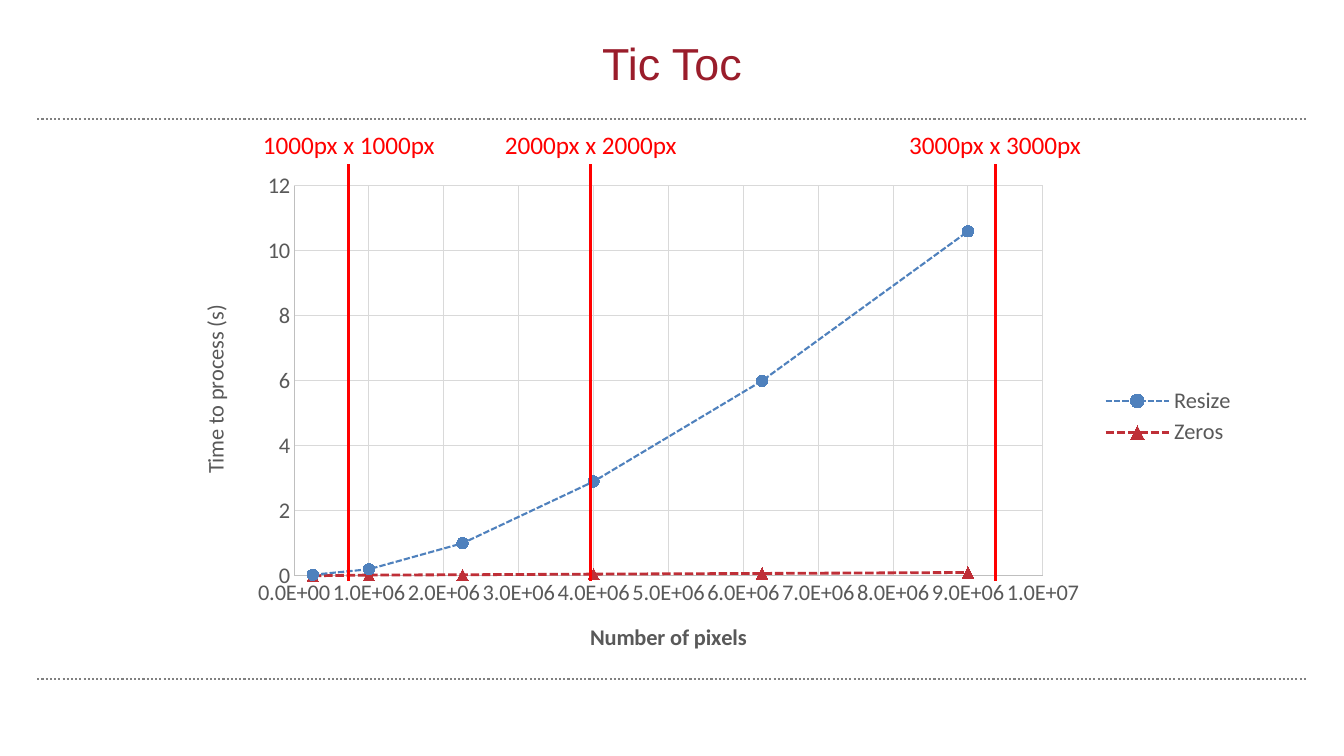
from pptx import Presentation, util as u
from pptx.chart.data import XyChartData
from pptx.dml.color import RGBColor
from pptx.enum import chart as c, dml, shapes, text
from pptx.oxml import parse_xml
from pptx.oxml.ns import nsdecls

WIDTH, HEIGHT = u.Inches(13.33), u.Inches(7.5)
RED, GREY, GRID, AXIS = "FF0000", "595959", "D9D9D9", "BFBFBF"
PIXELS = [250000, 1000000, 2250000, 4000000, 6250000, 9000000]
# name, seconds, line colour, line width, marker style, marker colour
SERIES = [
    ("Resize", [0.03, 0.2, 1, 2.9, 6, 10.6], "4F81BD", 1.5,
     c.XL_MARKER_STYLE.CIRCLE, "4F81BD"),
    ("Zeros", [0, 0.02, 0.03, 0.05, 0.07, 0.1], "BF2F37", 2,
     c.XL_MARKER_STYLE.TRIANGLE, "C0504D"),
]
# label, label centre, line position (inches)
IMAGE_SIZES = [
    ("1000px x 1000px", 3.46, 3.46),
    ("2000px x 2000px", 5.86, 5.86),
    ("3000px x 3000px", 9.87, 9.87),
]


def color(value):
    return RGBColor.from_string(value)


def style_line(line, value, width, dash=None):
    line.color.rgb = color(value)
    line.width = u.Pt(width)
    if dash:
        line.dash_style = dash


def style_font(font, name, size, value, bold=False):
    font.name, font.size, font.bold = name, u.Pt(size), bold
    font.color.rgb = color(value)


def add_line(slide, start, end, value, width, dash=None):
    points = [u.Inches(n) for n in (*start, *end)]
    line = slide.shapes.add_connector(shapes.MSO_CONNECTOR.STRAIGHT, *points)
    style_line(line.line, value, width, dash)
    line._element.spPr.append(parse_xml(f"<a:effectLst {nsdecls('a')}/>"))


def add_title(slide, words):
    title = slide.shapes.title
    title.left, title.top = u.Inches(2.64), u.Inches(0.28)
    title.width, title.height = u.Inches(8.05), u.Inches(0.66)
    frame = title.text_frame
    frame.text = words
    frame.vertical_anchor = text.MSO_ANCHOR.BOTTOM
    paragraph = frame.paragraphs[0]
    paragraph.alignment = text.PP_ALIGN.CENTER
    style_font(paragraph.font, "Arial", 32, "9A1D2B")


def add_label(slide, words, center):
    width = 2.31
    box = slide.shapes.add_textbox(u.Inches(center - width / 2), u.Inches(1.23),
                                   u.Inches(width), u.Inches(0.4))
    frame = box.text_frame
    frame.word_wrap = True
    frame.auto_size = text.MSO_AUTO_SIZE.SHAPE_TO_FIT_TEXT
    frame.text = words
    paragraph = frame.paragraphs[0]
    paragraph.alignment = text.PP_ALIGN.CENTER
    style_font(paragraph.font, "Calibri", 18, RED)


def style_axis(axis, title, top, step, number_format, bold=False):
    axis.minimum_scale, axis.maximum_scale, axis.major_unit = 0, top, step
    axis.major_tick_mark = axis.minor_tick_mark = c.XL_TICK_MARK.NONE
    axis.has_major_gridlines = True
    style_line(axis.major_gridlines.format.line, GRID, 0.75)
    style_line(axis.format.line, AXIS, 0.75)
    style_font(axis.tick_labels.font, "Calibri", 16, GREY)
    axis.tick_labels.number_format = number_format
    axis.tick_labels.number_format_is_linked = False
    frame = axis.axis_title.text_frame
    frame.text = title
    style_font(frame.paragraphs[0].font, "Calibri", 16, GREY, bold)
    return frame


def place_plot(chart, left, top, width, height):
    plot_area = chart._chartSpace.chart.plotArea
    for old in plot_area.xpath("c:layout"):
        plot_area.remove(old)
    plot_area.insert(0, parse_xml(
        f'<c:layout {nsdecls("c")}><c:manualLayout><c:layoutTarget val="inner"/>'
        f'<c:xMode val="edge"/><c:yMode val="edge"/><c:x val="{left}"/>'
        f'<c:y val="{top}"/><c:w val="{width}"/><c:h val="{height}"/>'
        '</c:manualLayout></c:layout>'))


def add_timing_chart(slide):
    data = XyChartData()
    for name, seconds, *_ in SERIES:
        series = data.add_series(name)
        for pixels, second in zip(PIXELS, seconds):
            series.add_data_point(pixels, second)
    chart = slide.shapes.add_chart(
        c.XL_CHART_TYPE.XY_SCATTER_LINES, u.Inches(1.75), u.Inches(1.59),
        u.Inches(10.61), u.Inches(5.09), data).chart
    style_font(chart.font, "Calibri", 16, "000000")
    chart.has_title = False
    chart.plots[0].vary_by_categories = False

    # Axes and plot area
    style_axis(chart.category_axis, "Number of pixels", 10000000, 1000000,
               "0.0E+00", bold=True)
    frame = style_axis(chart.value_axis, "Time to process (s)", 12, 2, "General")
    frame._txBody.bodyPr.set("rot", "-5400000")
    frame._txBody.bodyPr.set("vert", "horz")
    place_plot(chart, 0.11, 0.05, 0.7, 0.76)

    # Legend
    chart.has_legend = True
    chart.legend.position = c.XL_LEGEND_POSITION.RIGHT
    chart.legend.include_in_layout = False
    style_font(chart.legend.font, "Calibri", 16, GREY)

    # Series
    for series, (_, _, value, width, marker, fill) in zip(chart.plots[0].series, SERIES):
        series.smooth = False
        style_line(series.format.line, value, width, dml.MSO_LINE.SQUARE_DOT)
        series.marker.style, series.marker.size = marker, 8
        series.marker.format.fill.solid()
        series.marker.format.fill.fore_color.rgb = color(fill)
        style_line(series.marker.format.line, fill, 0.75)


def main():
    presentation = Presentation()
    presentation.slide_width, presentation.slide_height = WIDTH, HEIGHT
    slide = presentation.slides.add_slide(presentation.slide_layouts[5])

    # Dotted rules and title
    for y in (1.18, 6.74):
        add_line(slide, (0.37, y), (12.97, y), "808080", 1.5, dml.MSO_LINE.ROUND_DOT)
    add_title(slide, "Tic Toc")

    # Chart with image sizes marked over it
    add_timing_chart(slide)
    for words, center, x in IMAGE_SIZES:
        add_label(slide, words, center)
        add_line(slide, (x, 5.76), (x, 1.63), RED, 2)

    presentation.save("out.pptx")


if __name__ == "__main__":
    main()
